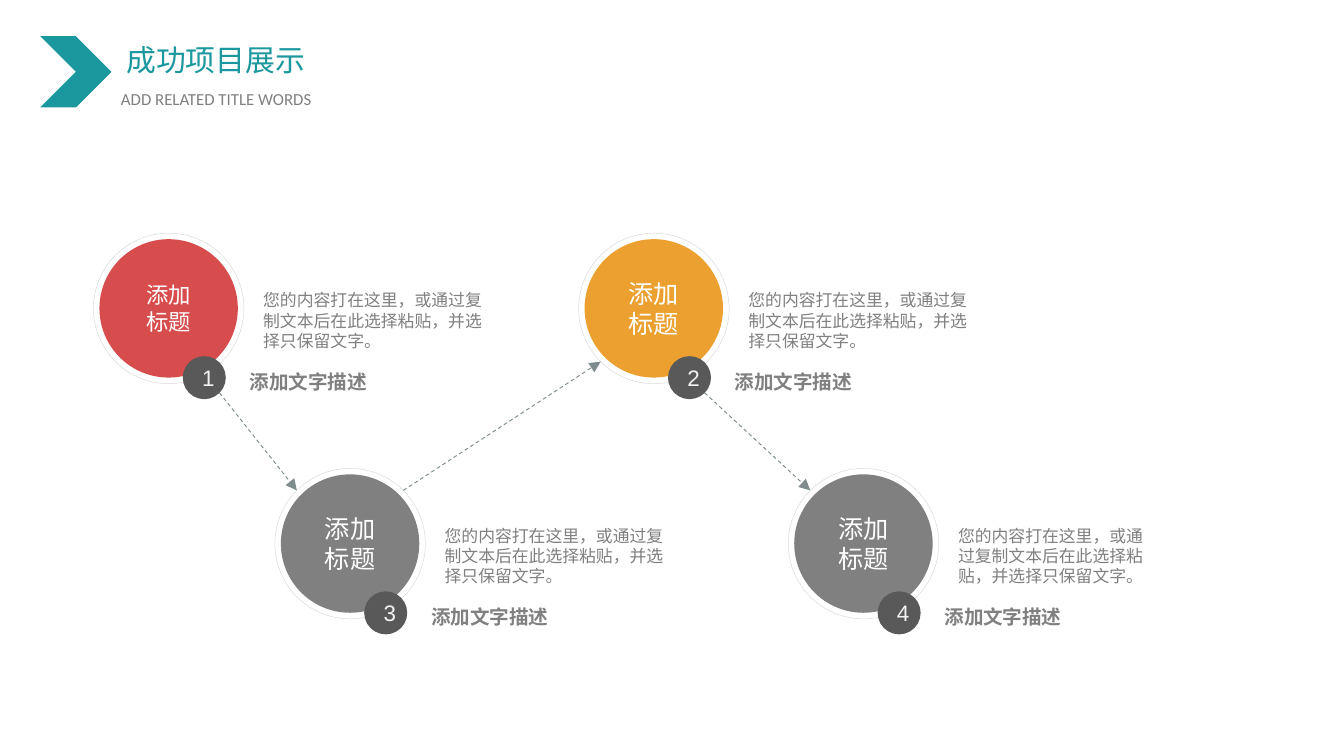
from math import sqrt

from lxml.etree import SubElement
from pptx import Presentation
from pptx.dml.color import RGBColor
from pptx.enum.dml import MSO_LINE
from pptx.enum.shapes import MSO_CONNECTOR, MSO_SHAPE
from pptx.enum.text import MSO_ANCHOR, PP_ALIGN
from pptx.oxml.ns import qn
from pptx.util import Inches, Pt

COLORS = {
    "teal": "1B979E", "red": "D74C4C", "orange": "ECA02F", "gray": "808080",
    "dark": "595959", "ring": "D9D9D9", "arrow": "7F8C8D",
    "white": "FFFFFF", "pale": "F2F2F2",
}
DISC, RING, BADGE = 1.03, 1.12, 0.32
DESCRIPTION = "您的内容打在这里，或通过复制文本后在此选择粘贴，并选择只保留文字。"


def write(sp, lines, size, color, font="Arial", bold=False, align=PP_ALIGN.LEFT,
          ea=None, **frame):
    tf = sp.text_frame
    frame = {"word_wrap": True, "vertical_anchor": MSO_ANCHOR.TOP, **frame}
    for name, value in frame.items():
        setattr(tf, name, value)
    for i, line in enumerate(lines):
        p = tf.paragraphs[0] if i == 0 else tf.add_paragraph()
        p.alignment = align
        r = p.add_run()
        r.text = line
        for name, value in {"name": font, "size": Pt(size), "bold": bold}.items():
            setattr(r.font, name, value)
        r.font.color.rgb = RGBColor.from_string(COLORS[color])
        if ea:
            SubElement(r.font._element, qn("a:ea"), typeface=ea)


def add_shape(shapes, kind, x, y, size, fill=None, line=None):
    sp = shapes.add_shape(kind, Inches(x), Inches(y), Inches(size), Inches(size))
    sp.shadow.inherit = False
    if fill:
        sp.fill.solid()
        sp.fill.fore_color.rgb = RGBColor.from_string(COLORS[fill])
    else:
        sp.fill.background()
    if line:
        sp.line.color.rgb = RGBColor.from_string(COLORS[line])
        sp.line.width = Pt(0.25)
    else:
        sp.line.fill.background()
    return sp


# 16:9 slide
prs = Presentation()
prs.slide_width = Inches(10)
prs.slide_height = Inches(10 * 9 / 16)
s = prs.slides.add_slide(prs.slide_layouts[5])

# Header
add_shape(s.shapes, MSO_SHAPE.CHEVRON, 0.3, 0.27, 0.53, "teal")
header_insets = {"margin_left": Inches(0.08), "margin_right": Inches(0.08),
                 "margin_top": Inches(0.04), "margin_bottom": Inches(0.04)}
title = s.shapes.title
title.left, title.top, title.width, title.height = map(Inches, (0.86, 0.27, 2.01, 0.35))
write(title, ["成功项目展示"], 16, "teal", "Noto Sans CJK SC", align=PP_ALIGN.JUSTIFY,
      ea="Noto Sans CJK SC", **header_insets)
subtitle = s.shapes.add_textbox(Inches(0.82), Inches(0.62), Inches(2.05), Inches(0.23))
write(subtitle, ["ADD RELATED TITLE WORDS"], 9, "gray", "Calibri",
      align=PP_ALIGN.JUSTIFY, **header_insets)

# Steps: number, disc left and top, fill, label size, description width
steps = [
    (1, 0.74, 1.78, "red", 12, 1.85),
    (3, 2.09, 3.53, "gray", 13.5, 1.85),
    (2, 4.35, 1.78, "orange", 13.5, 1.85),
    (4, 5.91, 3.53, "gray", 13.5, 1.61),
]
rings, badges = {}, {}  # circle centre and radius by step number
for number, x, y, fill, size, width in steps:
    group = s.shapes.add_group_shape()
    disc = add_shape(group.shapes, MSO_SHAPE.OVAL, x, y, DISC, fill)
    write(disc, ["添加", "标题"], size, "white", align=PP_ALIGN.CENTER,
          vertical_anchor=MSO_ANCHOR.MIDDLE)
    gap = (RING - DISC) / 2
    add_shape(group.shapes, MSO_SHAPE.OVAL, x - gap, y - gap, RING, line="ring")
    rings[number] = (x + DISC / 2, y + DISC / 2, RING / 2)

    badge = add_shape(s.shapes, MSO_SHAPE.OVAL, x + 0.62, y + 0.87, BADGE, "dark")
    write(badge, [str(number)], 12, "pale", align=PP_ALIGN.CENTER,
          vertical_anchor=MSO_ANCHOR.MIDDLE, word_wrap=False,
          margin_left=Inches(0.06), margin_right=0, margin_top=0, margin_bottom=0)
    badges[number] = (x + 0.62 + BADGE / 2, y + 0.87 + BADGE / 2, BADGE / 2)

    heading = s.shapes.add_textbox(Inches(x + 1.02), Inches(y + 0.92), Inches(1.09), Inches(0.28))
    write(heading, ["添加文字描述"], 10.5, "gray", bold=True, word_wrap=False)
    text = s.shapes.add_textbox(Inches(x + 1.12), Inches(y + 0.33), Inches(width), Inches(0.56))
    write(text, [DESCRIPTION], 9, "gray")

# Dashed arrows between diagonal points on the circles' rims
arrows = [
    (badges[1], (1, 1), rings[3], (-1, -1)),
    (rings[3], (1, -1), rings[2], (-1, 1)),
    (badges[2], (1, 1), rings[4], (-1, -1)),
]
for start, start_side, end, end_side in arrows:
    points = []
    for (cx, cy, radius), (dx, dy) in ((start, start_side), (end, end_side)):
        reach = radius / sqrt(2)
        points += [Inches(cx + dx * reach), Inches(cy + dy * reach)]
    arrow = s.shapes.add_connector(MSO_CONNECTOR.STRAIGHT, *points)
    arrow.line.color.rgb = RGBColor.from_string(COLORS["arrow"])
    arrow.line.width = Pt(0.5)
    arrow.line.dash_style = MSO_LINE.DASH
    SubElement(arrow.line._get_or_add_ln(), qn("a:tailEnd"), type="triangle")
    SubElement(arrow._element.spPr, qn("a:effectLst"))

prs.save("out.pptx")
